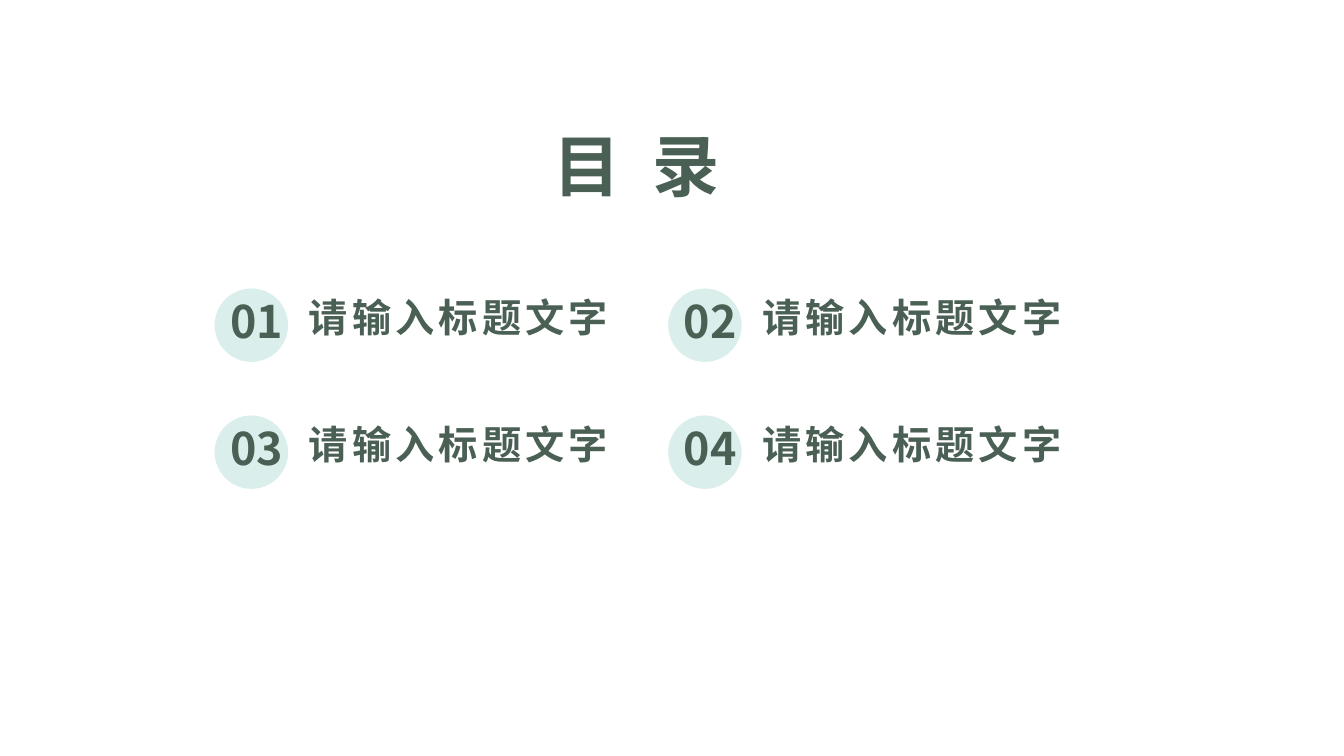
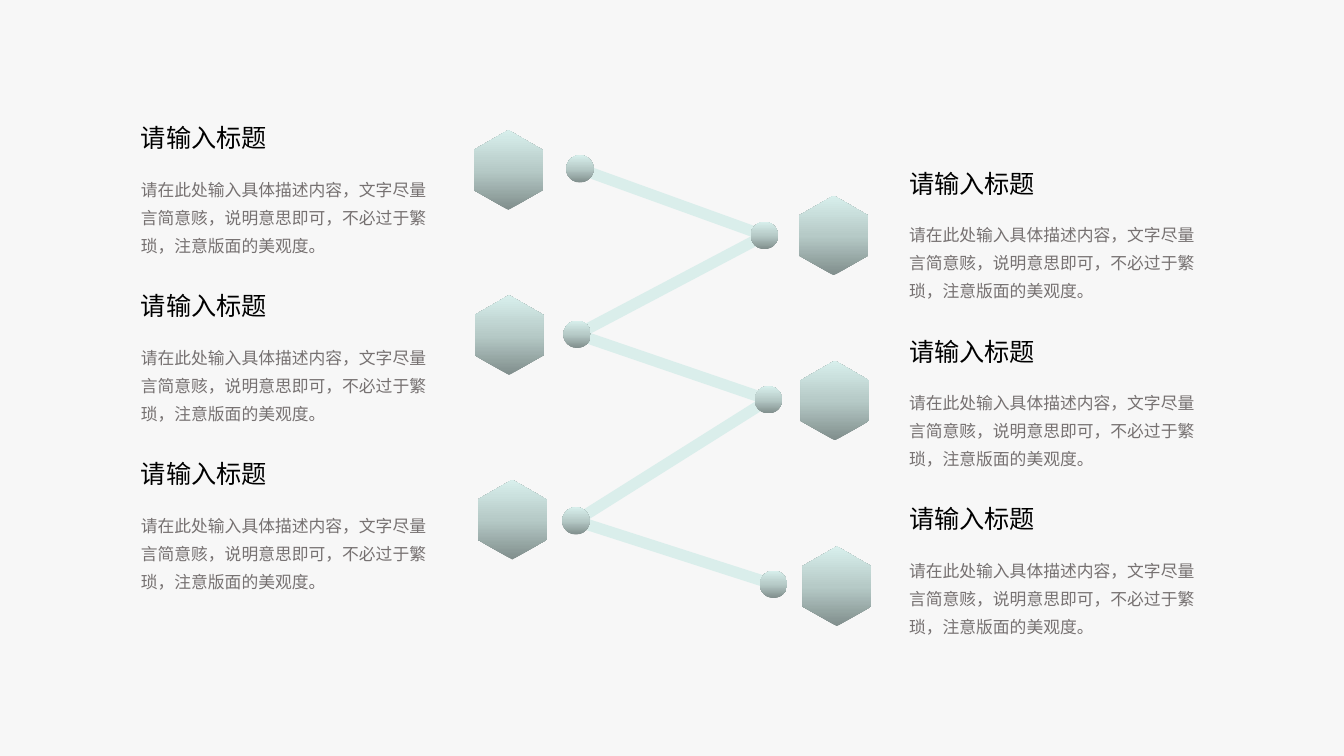
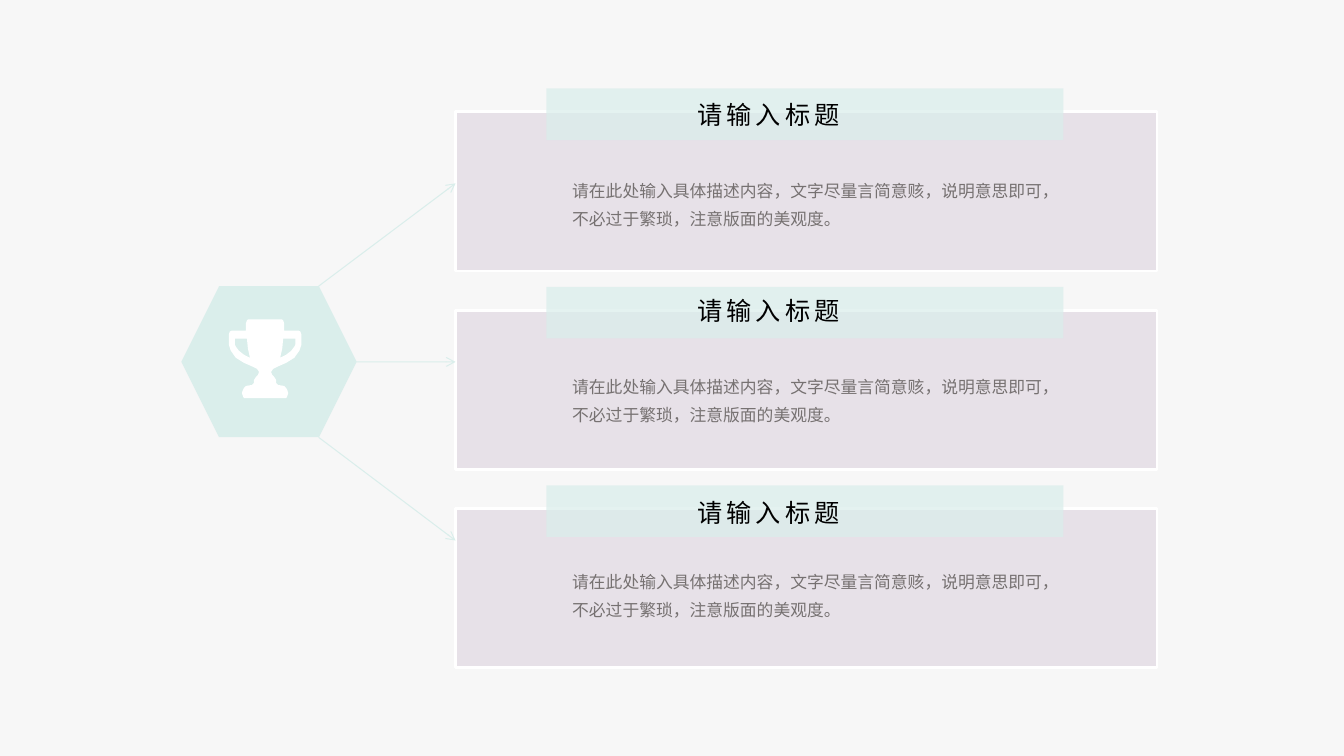
from itertools import pairwise

from lxml import etree
from pptx import Presentation
from pptx.dml.color import RGBColor
from pptx.enum.shapes import MSO_CONNECTOR, MSO_SHAPE
from pptx.enum.text import MSO_AUTO_SIZE
from pptx.oxml.ns import qn
from pptx.util import Cm, Pt

STRAIGHT = MSO_CONNECTOR.STRAIGHT
OVAL = MSO_SHAPE.OVAL
RECTANGLE = MSO_SHAPE.RECTANGLE
HEXAGON = MSO_SHAPE.HEXAGON
GROW = MSO_AUTO_SIZE.SHAPE_TO_FIT_TEXT
FIXED = MSO_AUTO_SIZE.NONE

WHITE = "FFFFFF"
PALE = "F7F7F7"
MINT = "DAEEEB"
LILAC = "DCD0DE"
GREEN = "4A6054"
BLACK = "000000"
GREY = "767171"
METAL = [(0, "808E8C"), (50, "B6CAC7"), (100, "D8EFEC")]

CJK_FONT = "Noto Sans CJK SC"
CONTENTS_TITLE = {"name": CJK_FONT, "size": Pt(48), "bold": True}
CONTENTS_ENTRY = {"name": CJK_FONT, "size": Pt(28), "bold": True}
CONTENTS_NUMBER = {"name": CJK_FONT, "size": Pt(32), "bold": True}
HEADING = {"name": "Arial", "size": Pt(18)}
BODY = {"name": "Arial", "size": Pt(12)}
BODY_PARAGRAPH = {"line_spacing": Pt(20), "space_before": Pt(2.4)}

ENTRY_TEXT = "请输入标题文字"
HEADING_TEXT = "请输入标题"
BODY_TEXT = "请在此处输入具体描述内容，文字尽量言简意赅，说明意思即可，不必过于繁琐，注意版面的美观度。"

DOT_SIZE = 0.69
HEXAGON_OUTLINE = [(87, 0), (174, 50), (174, 151), (87, 201), (0, 151), (0, 50)]
TROPHY_HALF = [
    (17, 0), (18, 1), (19, 4), (19, 11), (33, 11), (35, 12), (36, 15), (36, 25),
    (34, 31), (29, 38), (21, 43), (12, 47), (8, 49), (6, 52), (7, 55), (9, 57),
    (11, 60), (11, 63), (13, 65), (19, 66), (21, 68), (22, 70), (23, 73),
    (22, 76), (21, 78),
]
TROPHY_HANDLE = [
    (18, 19), (30, 19), (30, 25), (29, 27), (26, 31), (21, 35), (15, 38), (17, 29),
]


def rgb(value):
    return RGBColor.from_string(value)


def apply_format(target, values):
    for name, value in values.items():
        setattr(target, name, value)


def add_slide(deck, background):
    slide = deck.slides.add_slide(deck.slide_layouts[6])
    slide.background.fill.solid()
    slide.background.fill.fore_color.rgb = rgb(background)
    return slide


def add_text(slide, text, x, y, width, height, font, color,
             spacing=0, wrap=True, autosize=GROW, paragraph_format=None):
    frame = slide.shapes.add_textbox(Cm(x), Cm(y), Cm(width), Cm(height)).text_frame
    apply_format(frame, {"word_wrap": wrap, "auto_size": autosize})
    paragraph = frame.paragraphs[0]
    apply_format(paragraph, paragraph_format or {})
    run = paragraph.add_run()
    run.text = text
    apply_format(run.font, font)
    run.font.color.rgb = rgb(color)
    properties = run._r.get_or_add_rPr()
    etree.SubElement(properties, qn("a:ea"), typeface=CJK_FONT)
    if spacing:
        properties.set("spc", str(spacing * 100))


def add_heading(slide, x, y, spacing=0):
    add_text(slide, HEADING_TEXT, x, y, 4.47, 1.02, HEADING, BLACK, spacing)


def add_body(slide, x, y, width):
    add_text(slide, BODY_TEXT, x, y, width, 2.49, BODY, GREY,
             autosize=FIXED, paragraph_format=BODY_PARAGRAPH)


def paint(shape, color, opacity=100):
    shape.shadow.inherit = False
    shape.line.fill.background()
    shape.fill.solid()
    shape.fill.fore_color.rgb = rgb(color)
    if opacity < 100:
        tint = shape._element.spPr.find(f"{qn('a:solidFill')}/{qn('a:srgbClr')}")
        etree.SubElement(tint, qn("a:alpha"), val=str(opacity * 1000))


def paint_metal(shape):
    shape.shadow.inherit = False
    shape.line.fill.background()
    shape.fill.gradient()
    shape.fill.gradient_angle = 90
    stops = shape._element.spPr.find(f"{qn('a:gradFill')}/{qn('a:gsLst')}")
    for stop in list(stops):
        stops.remove(stop)
    for position, color in METAL:
        stop = etree.SubElement(stops, qn("a:gs"), pos=str(position * 1000))
        etree.SubElement(stop, qn("a:srgbClr"), val=color)


def add_preset(slide, kind, x, y, width, height):
    return slide.shapes.add_shape(kind, Cm(x), Cm(y), Cm(width), Cm(height))


def add_outline(slide, contours, x, y, unit):
    builder = slide.shapes.build_freeform(*contours[0][0], scale=unit)
    builder.add_line_segments(contours[0][1:], close=True)
    for contour in contours[1:]:
        builder.move_to(*contour[0])
        builder.add_line_segments(contour[1:], close=True)
    return builder.convert_to_shape(Cm(x), Cm(y))


def add_line(slide, start, end, width, arrow=False):
    line = slide.shapes.add_connector(STRAIGHT, *map(Cm, (*start, *end)))
    line.line.color.rgb = rgb(MINT)
    line.line.width = Pt(width)
    if arrow:
        etree.SubElement(line.line._get_or_add_ln(), qn("a:tailEnd"), type="arrow")
    etree.SubElement(line._element.spPr, qn("a:effectLst"))


def mirror(points):
    return [(-x, y) for x, y in reversed(points)]


def add_trophy(slide, x, y):
    contours = [TROPHY_HALF + mirror(TROPHY_HALF), TROPHY_HANDLE, mirror(TROPHY_HANDLE)]
    paint(add_outline(slide, contours, x, y, Cm(2.54) / 100), WHITE)


def build_contents(deck):
    slide = add_slide(deck, WHITE)
    add_text(slide, "目 录", 13.69, 3.02, 5.46, 2.31, CONTENTS_TITLE, GREEN, 6, wrap=False)
    for index in range(4):
        row, column = divmod(index, 2)
        x = 5.41 + 11.43 * column
        y = 7.27 + 3.2 * row
        paint(add_preset(slide, OVAL, x, y, 1.85, 1.85), MINT)
        add_text(slide, f"{index + 1:02}", x + 0.14, y, 2.18, 1.63, CONTENTS_NUMBER, GREEN)
        add_text(slide, ENTRY_TEXT, x + 2.12, y, 8.26, 1.45,
                 CONTENTS_ENTRY, GREEN, 3, wrap=False)


def build_zigzag(deck):
    slide = add_slide(deck, PALE)
    hexagons = [(11.94, 3.28), (20.14, 4.93), (11.96, 7.44),
                (20.17, 9.09), (12.04, 12.09), (20.22, 13.77)]
    dots = [(14.27, 3.91), (18.92, 5.59), (14.2, 8.08),
            (19.02, 9.73), (14.17, 12.78), (19.15, 14.38)]
    centres = [(x + DOT_SIZE / 2, y + DOT_SIZE / 2) for x, y in dots]
    for start, end in pairwise(centres):
        add_line(slide, start, end, 8)
    for index, (hexagon, dot) in enumerate(zip(hexagons, dots)):
        paint_metal(add_outline(slide, [HEXAGON_OUTLINE], *hexagon, Cm(0.01)))
        paint_metal(add_preset(slide, OVAL, *dot, DOT_SIZE, DOT_SIZE))
        row, side = divmod(index, 2)
        x = 3.3 + 19.36 * side
        y = 2.97 + 1.14 * side + 4.23 * row
        add_heading(slide, x, y)
        add_body(slide, x, y + 1.24, 7.92)


def build_cards(deck):
    slide = add_slide(deck, PALE)
    paint(add_preset(slide, HEXAGON, 4.57, 7.21, 4.42, 3.81), MINT)
    add_trophy(slide, 6.68, 8.05)
    arrow_starts = [(8.03, 7.21), (8.98, 9.12), (8.03, 11.02)]
    heading_tops = [2.39, 7.32, 12.4]
    for index, (start, heading_top) in enumerate(zip(arrow_starts, heading_tops)):
        top = 2.82 + 5 * index
        card = add_preset(slide, RECTANGLE, 11.48, top, 17.68, 4.01)
        paint(card, LILAC, 56)
        card.line.color.rgb = rgb(WHITE)
        card.line.width = Pt(2)
        paint(add_preset(slide, RECTANGLE, 13.77, top - 0.59, 13.03, 1.3), MINT, 73)
        add_line(slide, start, (11.48, 4.62 + 4.5 * index), 0.75, arrow=True)
        add_heading(slide, 17.32, heading_top, 3)
        add_body(slide, 14.17, 4.24 + 4.92 * index, 13.03)


def main():
    deck = Presentation()
    deck.slide_width = Cm(33.87)
    deck.slide_height = Cm(19.05)
    build_contents(deck)
    build_zigzag(deck)
    build_cards(deck)
    deck.save("out.pptx")


if __name__ == "__main__":
    main()
